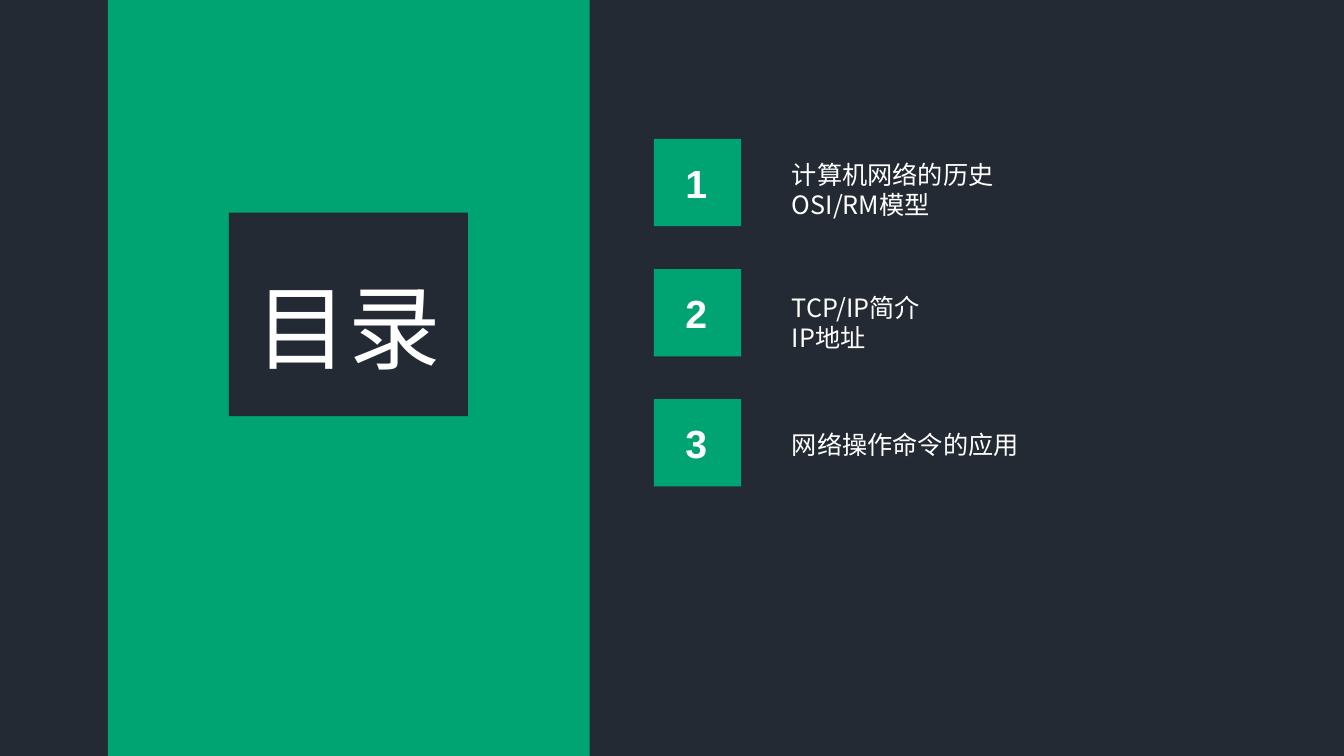
import pptx
import pptx.dml.color
import pptx.enum.shapes
import pptx.enum.text
import pptx.oxml.ns
import pptx.util

Cm, Pt = pptx.util.Cm, pptx.util.Pt

DARK, GREEN, WHITE = "232A34", "00A472", "FFFFFF"
CJK = "Noto Sans CJK SC"
TITLE = "目录"
CHAPTERS = [
    (["计算机网络的历史", "OSI/RM模型"], 0.39),
    (["TCP/IP简介", "IP地址"], 0.47),
    (["网络操作命令的应用"], 0.63),
]

WIDTH, HEIGHT = 33.87, 19.05
TILE_LEFT, TILE_TOP, TILE, PITCH = 16.48, 3.5, 2.2, 3.28
LIST_LEFT, LIST_WIDTH, LINE = 19.71, 14, 0.9

TITLE_FORMAT = {"size": Pt(66), "name": "Arial"}
NUMBER_FORMAT = {"size": Pt(28), "name": "Arial", "bold": True}
LIST_FORMAT = {"size": Pt(18), "name": CJK}


def color(value):
    return pptx.dml.color.RGBColor.from_string(value)


def add_block(s, box, fill):
    sp = s.shapes.add_shape(pptx.enum.shapes.MSO_SHAPE.RECTANGLE, *map(Cm, box))
    sp.shadow.inherit = False
    sp.fill.solid()
    sp.fill.fore_color.rgb = color(fill)
    sp.line.fill.background()


def add_text(s, box, lines, font, wrap=True, spacing=None):
    tf = s.shapes.add_textbox(*map(Cm, box)).text_frame
    tf.word_wrap = wrap
    tf.auto_size = pptx.enum.text.MSO_AUTO_SIZE.SHAPE_TO_FIT_TEXT
    for i, line in enumerate(lines):
        p = tf.paragraphs[0] if i == 0 else tf.add_paragraph()
        p.line_spacing = spacing
        r = p.add_run()
        r.text = line
        for key, value in font.items():
            setattr(r.font, key, value)
        r.font.color.rgb = color(WHITE)
        ea = pptx.oxml.ns.qn("a:ea")
        r.font._element.get_or_add_latin().addnext(r.font._element.makeelement(ea, {"typeface": CJK}))


def main():
    prs = pptx.Presentation()
    prs.slide_width, prs.slide_height = Cm(WIDTH), Cm(HEIGHT)
    s = prs.slides.add_slide(prs.slide_layouts[6])

    add_block(s, (0, 0, WIDTH, HEIGHT), DARK)
    add_block(s, (2.72, 0, 12.14, HEIGHT), GREEN)
    add_block(s, (5.77, 5.36, 6.02, 5.13), DARK)
    add_text(s, (6.2, 6.4, 5.84, 3.07), [TITLE], TITLE_FORMAT, spacing=Pt(87))

    for i, (lines, drop) in enumerate(CHAPTERS):
        top = TILE_TOP + i * PITCH
        add_block(s, (TILE_LEFT, top, TILE, TILE), GREEN)
        add_text(s, (TILE_LEFT + 0.54, top + 0.38, 1.12, 1.45), [str(i + 1)], NUMBER_FORMAT, wrap=False)
        add_text(s, (LIST_LEFT, top + drop, LIST_WIDTH, LINE * len(lines)), lines, LIST_FORMAT, spacing=Pt(21.4))

    prs.save("out.pptx")


if __name__ == "__main__":
    main()
